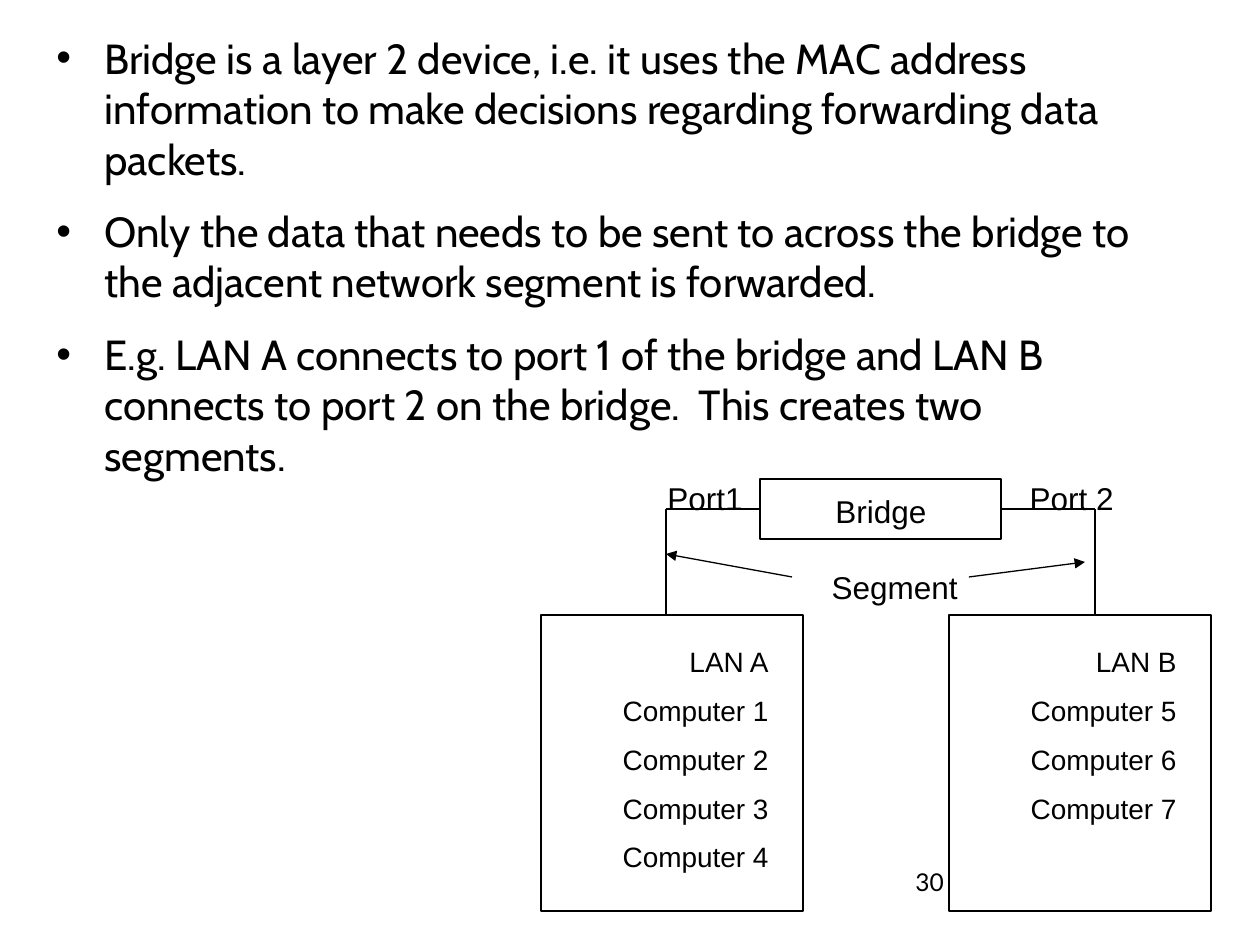
import lxml.etree
import pptx
import pptx.dml.color
import pptx.enum.shapes
import pptx.enum.text
import pptx.oxml.ns
import pptx.util

SCALE = 914400 / 126
BLACK = "000000"
ALIGN = pptx.enum.text.PP_ALIGN
POINTS = [
    "Bridge is a layer 2 device, i.e. it uses the MAC address information "
    "to make decisions regarding forwarding data packets.",
    "Only the data that needs to be sent to across the bridge to the "
    "adjacent network segment is forwarded.",
    "E.g. LAN A connects to port 1 of the bridge and LAN B connects to "
    "port 2 on the bridge.  This creates two segments.",
]
LANS = [
    (541, 666, ["LAN A", "Computer 1", "Computer 2", "Computer 3", "Computer 4"]),
    (949, 1095, ["LAN B", "Computer 5", "Computer 6", "Computer 7"]),
]


def px(*sizes):
    return [pptx.util.Emu(round(size * SCALE)) for size in sizes]


def color(text):
    return pptx.dml.color.RGBColor.from_string(text)


def add_tag(parent, tag, **attrs):
    lxml.etree.SubElement(parent, pptx.oxml.ns.qn(tag), attrs)


def add_text(slide, place, lines, size, font="Arial", align=ALIGN.RIGHT,
             gap=0, wrap=True, bullet=False):
    """Add a text box; gap is the space in points between its paragraphs."""
    frame = slide.shapes.add_textbox(*px(*place)).text_frame
    frame.word_wrap = wrap
    for index, line in enumerate(lines):
        para = frame.paragraphs[0] if index == 0 else frame.add_paragraph()
        para.alignment = align
        if index:
            para.space_before = pptx.util.Pt(gap)
        if bullet:
            props = para._p.get_or_add_pPr()
            indent = px(48)[0]
            props.set("marL", str(indent))
            props.set("indent", str(-indent))
            add_tag(props, "a:buFont", typeface="Arial")
            add_tag(props, "a:buChar", char="•")
        run = para.add_run()
        run.text = line
        run.font.size = pptx.util.Pt(size)
        run.font.name = font
        run.font.color.rgb = color(BLACK)


def set_line(shape):
    shape.line.color.rgb = color(BLACK)
    shape.line.width = pptx.util.Pt(0.75)


def add_box(slide, *place):
    kind = pptx.enum.shapes.MSO_SHAPE.RECTANGLE
    box = slide.shapes.add_shape(kind, *px(*place))
    box.shadow.inherit = False
    box.fill.background()
    set_line(box)


def add_line(slide, *ends, arrow=False):
    kind = pptx.enum.shapes.MSO_CONNECTOR.STRAIGHT
    line = slide.shapes.add_connector(kind, *px(*ends))
    set_line(line)
    props = line._element.spPr
    if arrow:
        add_tag(props.find(pptx.oxml.ns.qn("a:ln")), "a:tailEnd", type="triangle")
    add_tag(props, "a:effectLst")


def add_lan(slide, left, wire, port, names):
    """Add a LAN box, its names and the wire that leads to the bridge port."""
    add_text(slide, (left + 31, 638, 209, 250), names, 16, gap=8.8)
    add_box(slide, left, 615, 262, 296)
    add_line(slide, port, 509, wire, 509)
    add_line(slide, wire, 509, wire, 615)


def main():
    deck = pptx.Presentation()
    deck.slide_width, deck.slide_height = px(1260, 945)
    slide = deck.slides.add_slide(deck.slide_layouts[6])

    add_text(slide, (823, 486, 116, 37), ["Bridge"], 18, wrap=False)
    add_box(slide, 760, 479, 241, 60)
    for (left, wire, names), port in zip(LANS, (760, 1001)):
        add_lan(slide, left, wire, port, names)

    add_text(slide, (803, 562, 167, 37), ["Segment"], 18)
    add_line(slide, 969, 577, 1085, 562, arrow=True)
    add_line(slide, 792, 577, 666, 554, arrow=True)
    add_text(slide, (536, 473, 219, 37), ["Port1"], 18)
    add_text(slide, (1000, 473, 126, 37), ["Port 2"], 18)

    add_text(slide, (44, 26, 1130, 471), POINTS, 24, font="Cabin",
             align=ALIGN.LEFT, gap=12.6, bullet=True)
    add_text(slide, (903, 861, 294, 65), ["30"], 14, font="Lato",
             align=ALIGN.LEFT)
    deck.save("out.pptx")


if __name__ == "__main__":
    main()
